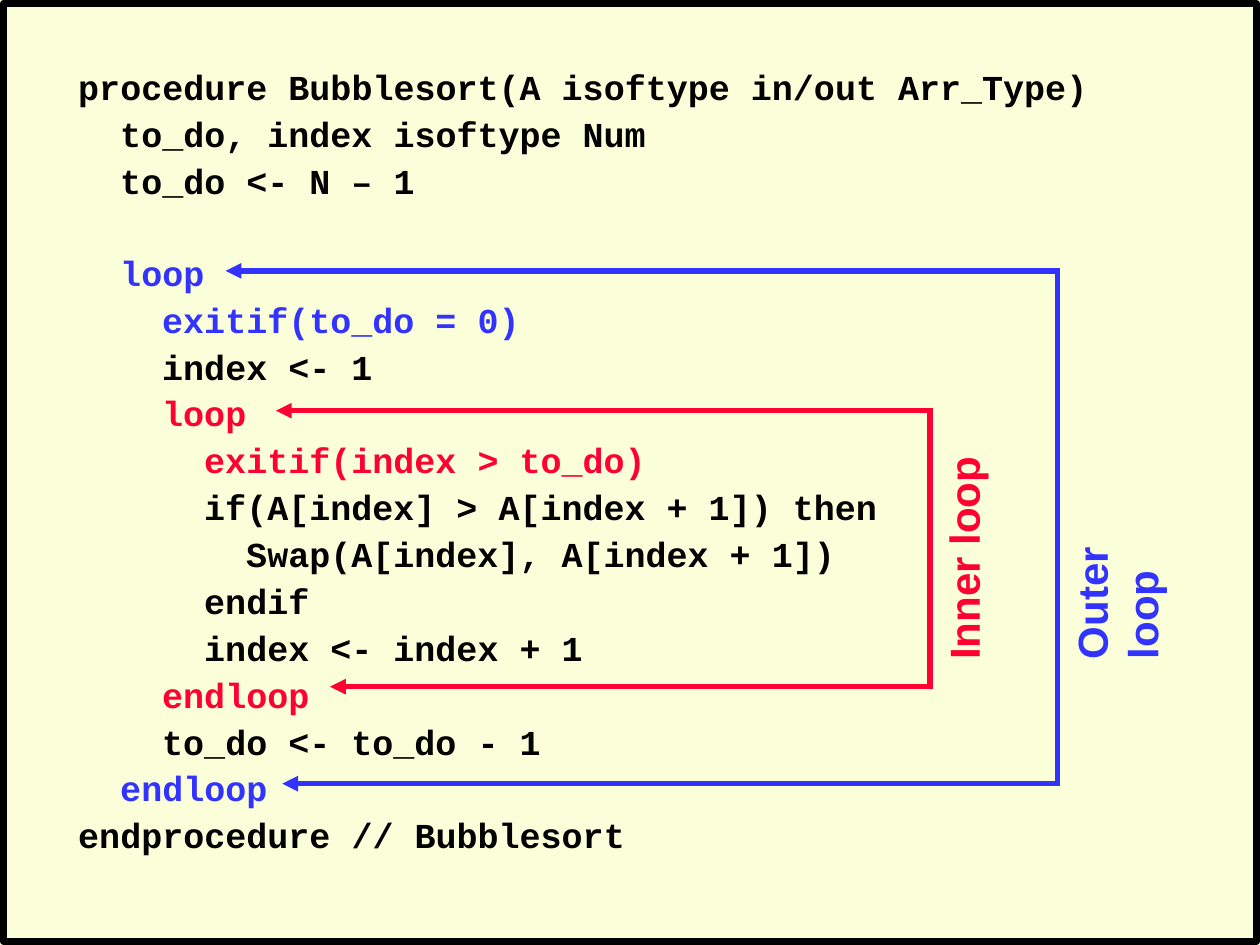
from dataclasses import dataclass

from lxml.etree import SubElement
from pptx import Presentation
from pptx.dml.color import RGBColor
from pptx.enum.shapes import MSO_CONNECTOR, MSO_SHAPE
from pptx.enum.text import MSO_ANCHOR, MSO_AUTO_SIZE
from pptx.oxml.ns import qn
from pptx.util import Pt

CREAM = RGBColor(0xFA, 0xFF, 0xD9)
BLACK = RGBColor(0, 0, 0)
BLUE = RGBColor(0x33, 0x33, 0xFF)
RED = RGBColor(0xFF, 0x00, 0x33)

INDENT = 24  # two characters of 20 pt Courier New
GAP = 5.2  # space before each code line
LINE_PITCH = 25.6
LINE_WIDTH = 3


@dataclass
class CodeLine:
    text: str
    level: int = 0
    color: RGBColor = BLACK
    skip: int = 0  # empty lines above


@dataclass
class LoopBracket:
    label: str
    color: RGBColor
    spine: float
    top: float
    bottom: float
    top_tip: float
    bottom_tip: float
    label_x: float  # centre of the rotated label
    label_y: float
    label_width: float


CODE = [
    CodeLine("procedure Bubblesort(A isoftype in/out Arr_Type)"),
    CodeLine("to_do, index isoftype Num", 1),
    CodeLine("to_do <- N – 1", 1),
    CodeLine("loop", 1, BLUE, skip=1),
    CodeLine("exitif(to_do = 0)", 2, BLUE),
    CodeLine("index <- 1", 2),
    CodeLine("loop", 2, RED),
    CodeLine("exitif(index > to_do)", 3, RED),
    CodeLine("if(A[index] > A[index + 1]) then", 3),
    CodeLine("Swap(A[index], A[index + 1])", 4),
    CodeLine("endif", 3),
    CodeLine("index <- index + 1", 3),
    CodeLine("endloop", 2, RED),
    CodeLine("to_do <- to_do - 1", 2),
    CodeLine("endloop", 1, BLUE),
    CodeLine("endprocedure // Bubblesort"),
]

BRACKETS = [
    LoopBracket("Inner loop", RED, 531.5, 234.7, 392.4, 157.7, 188.6, 550.4, 319, 130.3),
    LoopBracket("Outer loop", BLUE, 604.2, 154.8, 447.8, 128.9, 161.3, 623.5, 316, 135.4),
]


def style_run(p, font: str, size: float, color: RGBColor) -> None:
    for r in p.runs:
        r.font.name = font
        r.font.size = Pt(size)
        r.font.bold = True
        r.font.color.rgb = color


def add_code(sp, lines: list[CodeLine]) -> None:
    tf = sp.text_frame
    tf.text = "\n".join(line.text for line in lines)
    tf.word_wrap = True
    tf.auto_size = MSO_AUTO_SIZE.NONE
    tf.vertical_anchor = MSO_ANCHOR.TOP
    for p, line in zip(tf.paragraphs, lines):
        p.line_spacing = 0.9
        p.space_before = Pt(GAP + line.skip * LINE_PITCH)
        pPr = p._p.get_or_add_pPr()
        pPr.set("marL", str(Pt(line.level * INDENT)))
        pPr.set("indent", "0")
        SubElement(pPr, qn("a:buNone"))
        style_run(p, "Courier New", 20, line.color)


def add_line(slide, x1: float, y1: float, x2: float, y2: float,
             color: RGBColor, arrow: bool = False) -> None:
    sp = slide.shapes.add_connector(
        MSO_CONNECTOR.STRAIGHT, Pt(x1), Pt(y1), Pt(x2), Pt(y2))
    sp.line.color.rgb = color
    sp.line.width = Pt(LINE_WIDTH)
    if arrow:
        SubElement(sp.line._get_or_add_ln(), qn("a:tailEnd"), type="triangle")
    SubElement(sp._element.spPr, qn("a:effectLst"))


def add_bracket(slide, b: LoopBracket) -> None:
    # Arms reach the outer edge of the spine
    start = b.spine + LINE_WIDTH / 2
    add_line(slide, start, b.top, b.top_tip, b.top, b.color, arrow=True)
    add_line(slide, start, b.bottom, b.bottom_tip, b.bottom, b.color, arrow=True)
    add_line(slide, b.spine, b.top, b.spine, b.bottom, b.color)

    # Label reading upwards
    height = 36
    sp = slide.shapes.add_textbox(
        Pt(b.label_x - b.label_width / 2), Pt(b.label_y - height / 2),
        Pt(b.label_width), Pt(height))
    sp.rotation = 270
    tf = sp.text_frame
    tf.text = b.label
    tf.word_wrap = False
    tf.auto_size = MSO_AUTO_SIZE.SHAPE_TO_FIT_TEXT
    style_run(tf.paragraphs[0], "Arial", 24, b.color)


def main() -> None:
    prs = Presentation()
    prs.slide_width, prs.slide_height = Pt(720), Pt(540)
    slide = prs.slides.add_slide(prs.slide_layouts[1])
    slide.background.fill.solid()
    slide.background.fill.fore_color.rgb = CREAM

    # The slide has no title
    title = slide.shapes.title._element
    title.getparent().remove(title)

    # Code listing
    body = slide.placeholders[1]
    body.left, body.top, body.width, body.height = Pt(37.5), Pt(36.7), Pt(649.5), Pt(455.8)
    add_code(body, CODE)

    # Frame, behind everything else
    frame = slide.shapes.add_shape(
        MSO_SHAPE.RECTANGLE, Pt(1.9), Pt(1.9), Pt(716.2), Pt(536.2))
    frame.shadow.inherit = False
    frame.fill.background()
    frame.line.color.rgb = BLACK
    frame.line.width = Pt(3.75)
    body._element.addprevious(frame._element)

    # Loop brackets
    for bracket in BRACKETS:
        add_bracket(slide, bracket)

    prs.save("out.pptx")


if __name__ == "__main__":
    main()
